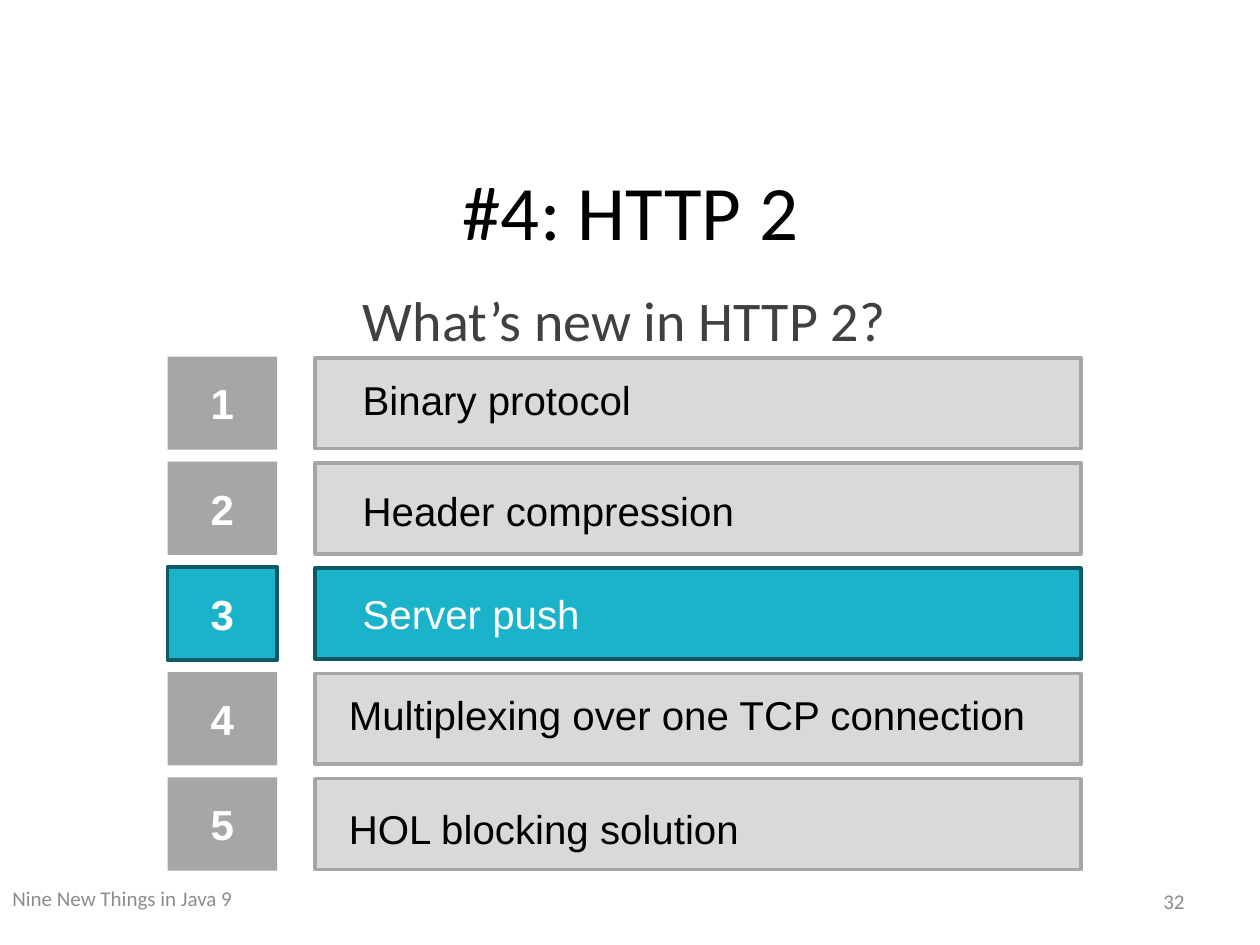
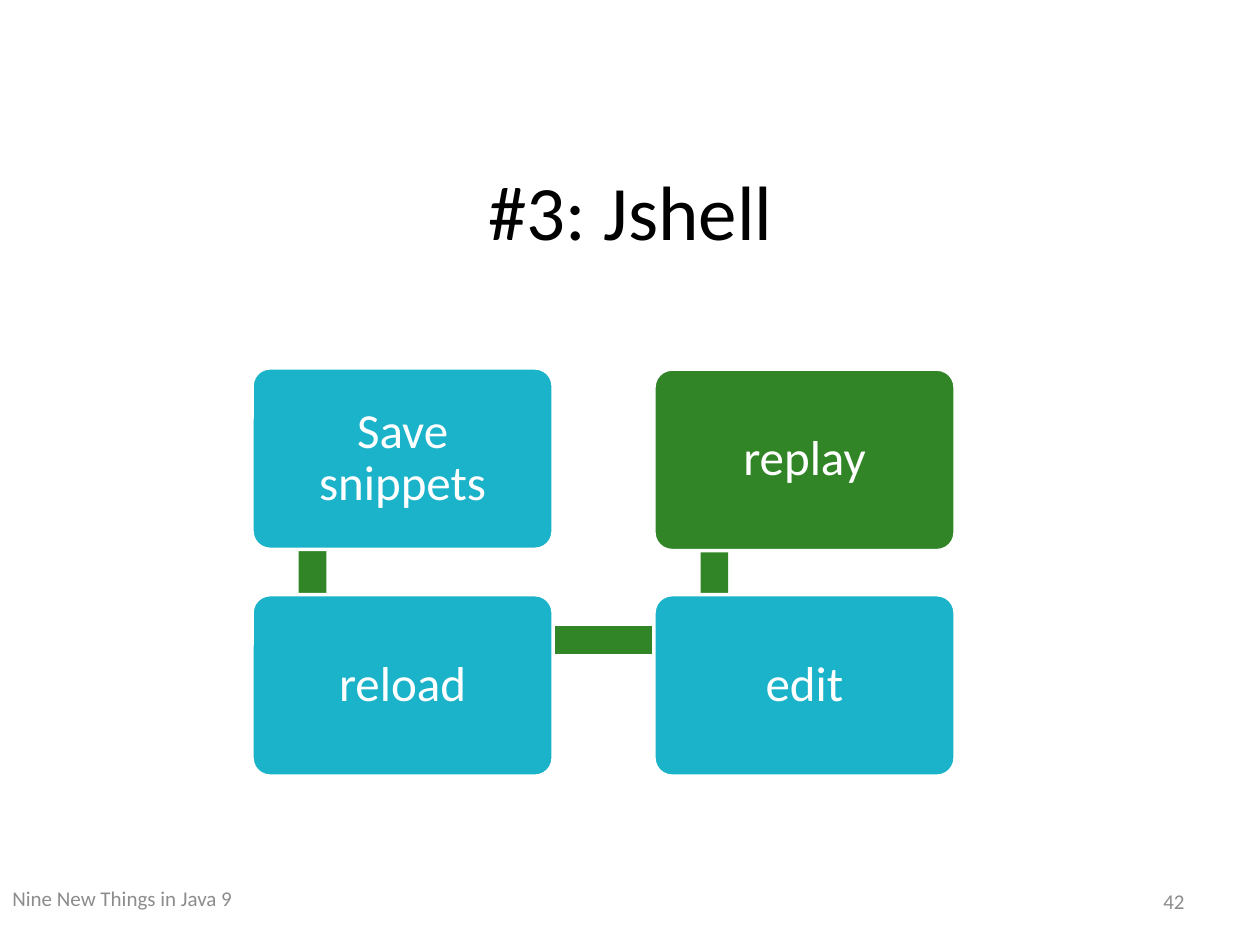
from pptx import Presentation
from pptx.dml.color import RGBColor
from pptx.enum.shapes import MSO_SHAPE as SHAPE
from pptx.enum.text import MSO_ANCHOR as ANCHOR, MSO_AUTO_SIZE as AUTO, PP_ALIGN as ALIGN
from pptx.util import Inches, Pt

BLACK = RGBColor(0x00, 0x00, 0x00)
WHITE = RGBColor(0xFF, 0xFF, 0xFF)
TEAL = RGBColor(0x1B, 0xB3, 0xC9)
DARK_TEAL = RGBColor(0x0E, 0x5A, 0x64)
GREEN = RGBColor(0x31, 0x85, 0x27)
LIGHT_GRAY = RGBColor(0xD9, 0xD9, 0xD9)
MID_GRAY = RGBColor(0xA6, 0xA6, 0xA6)
FOOTER_GRAY = RGBColor(0x8C, 0x8C, 0x8C)
TEXT_GRAY = RGBColor(0x40, 0x40, 0x40)

HEADING_FONT = "Calibri"
LIST_FONT = "Arial"
FOOTER = "Nine New Things in Java 9"

FEATURES = [
    ("Binary protocol", 2.78, 2.93),
    ("Header compression", 2.78, 3.81),
    ("Server push", 2.78, 4.63),
    ("Multiplexing over one TCP connection", 2.67, 5.43),
    ("HOL blocking solution", 2.67, 6.33),
]
ACTIVE_FEATURE = 3
FIRST_ROW_TOP = 2.83
ROW_STEP = 0.835

STEP_W, STEP_H = 2.39, 1.44
LEFT_COL, RIGHT_COL = 2, 5.19
TOP_ROW, BOTTOM_ROW = 2.92, 4.72
LINK = 0.22
LINK_INSET = 0.37


def set_text(shape, text, size, color, font=HEADING_FONT, align=ALIGN.LEFT,
             anchor=ANCHOR.TOP, bold=False):
    tf = shape.text_frame
    tf.text = text
    tf.word_wrap = True
    tf.auto_size = AUTO.NONE
    tf.vertical_anchor = anchor
    p = tf.paragraphs[0]
    p.alignment = align
    r = p.runs[0]
    r.font.name = font
    r.font.size = Pt(size)
    r.font.bold = bold
    r.font.color.rgb = color
    return tf


def add_text(s, box, text, size, color, **style):
    tb = s.shapes.add_textbox(*map(Inches, box))
    set_text(tb, text, size, color, **style)


def add_block(s, box, fill, line=None, kind=SHAPE.RECTANGLE):
    sp = s.shapes.add_shape(kind, *map(Inches, box))
    sp.shadow.inherit = False
    sp.fill.solid()
    sp.fill.fore_color.rgb = fill
    if line is None:
        sp.line.fill.background()
    else:
        sp.line.color.rgb = line
        sp.line.width = Pt(2)
    return sp


def add_slide(prs, title, number):
    s = prs.slides.add_slide(prs.slide_layouts[5])
    sp = s.shapes.title
    sp.left, sp.top, sp.width, sp.height = map(Inches, (0.92, 1.25, 8.17, 0.84))
    set_text(sp, title, 44, BLACK, align=ALIGN.CENTER)
    add_text(s, (0, 6.93, 10, 0.4), FOOTER, 12, FOOTER_GRAY, anchor=ANCHOR.MIDDLE)
    add_text(s, (7.17, 6.95, 2.33, 0.4), str(number), 12, FOOTER_GRAY,
             align=ALIGN.RIGHT, anchor=ANCHOR.MIDDLE)
    return s


def add_feature(s, number, text, text_left, text_top):
    top = FIRST_ROW_TOP + (number - 1) * ROW_STEP
    active = number == ACTIVE_FEATURE
    badge = add_block(s, (1.33, top, 0.87, 0.74), TEAL if active else MID_GRAY,
                      DARK_TEAL if active else None)
    set_text(badge, str(number), 24, WHITE, font=LIST_FONT, align=ALIGN.CENTER,
             anchor=ANCHOR.MIDDLE, bold=True)
    add_block(s, (2.5, top + 0.01, 6.08, 0.72), TEAL if active else LIGHT_GRAY,
              DARK_TEAL if active else MID_GRAY)
    add_text(s, (text_left, text_top, 5.64, 0.49), text, 23,
             WHITE if active else BLACK, font=LIST_FONT)


def add_step(s, left, top, text, fill):
    sp = add_block(s, (left, top, STEP_W, STEP_H), fill, WHITE, SHAPE.ROUNDED_RECTANGLE)
    sp.adjustments[0] = 0.1
    tf = set_text(sp, text, 28, WHITE, align=ALIGN.CENTER, anchor=ANCHOR.MIDDLE)
    tf.margin_left = tf.margin_right = Inches(0.16)
    tf.margin_top = tf.margin_bottom = Inches(0.16)
    tf.paragraphs[0].line_spacing = 0.9


def build_http_slide(prs):
    s = add_slide(prs, "#4: HTTP 2", 32)
    add_text(s, (1.33, 2.22, 7.25, 0.63), "What’s new in HTTP 2?", 32, TEXT_GRAY,
             align=ALIGN.CENTER)
    for number, feature in enumerate(FEATURES, 1):
        add_feature(s, number, *feature)


def build_jshell_slide(prs):
    s = add_slide(prs, "#3: Jshell", 42)
    for left in (LEFT_COL, RIGHT_COL):
        add_block(s, (left + LINK_INSET, 3.29, LINK, 1.78), GREEN)
    add_block(s, (2.5, 4.97, 3.17, LINK), GREEN)
    add_step(s, LEFT_COL, TOP_ROW, "Save snippets", TEAL)
    add_step(s, LEFT_COL, BOTTOM_ROW, "reload", TEAL)
    add_step(s, RIGHT_COL, BOTTOM_ROW, "edit", TEAL)
    add_step(s, RIGHT_COL, TOP_ROW + 0.01, "replay", GREEN)


def main():
    prs = Presentation()
    prs.slide_width, prs.slide_height = Inches(10), Inches(7.5)
    build_http_slide(prs)
    build_jshell_slide(prs)
    prs.save("out.pptx")


if __name__ == "__main__":
    main()
